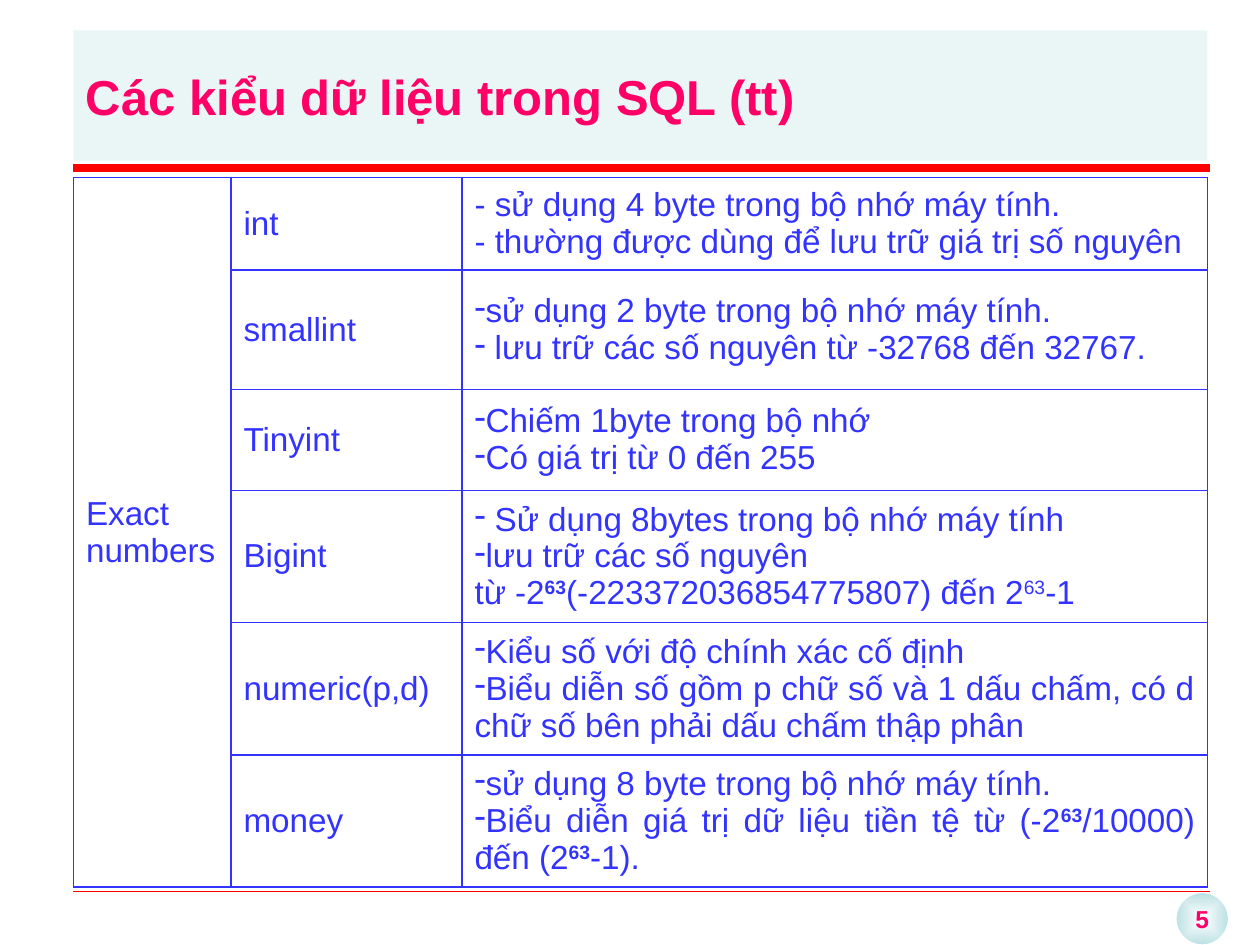
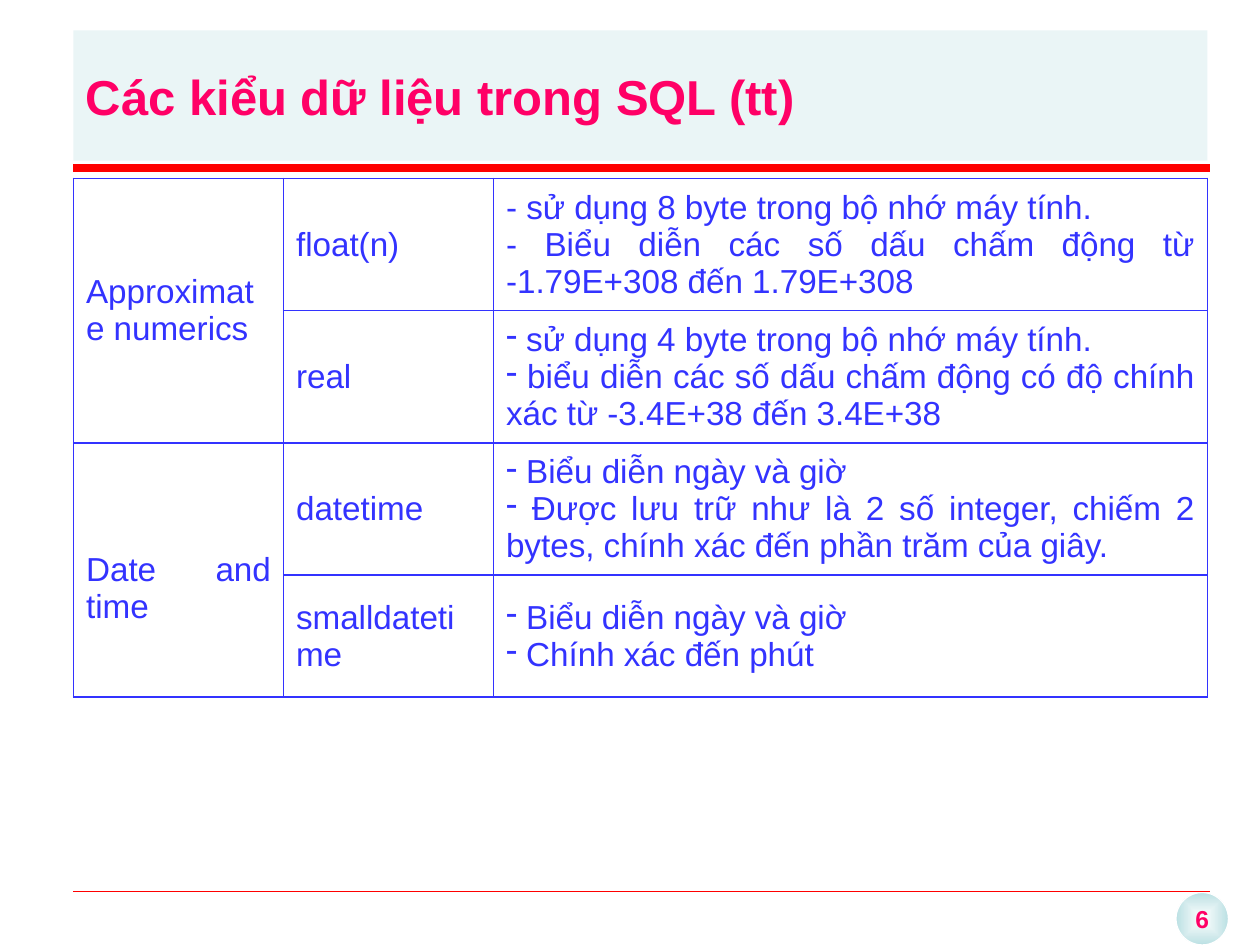
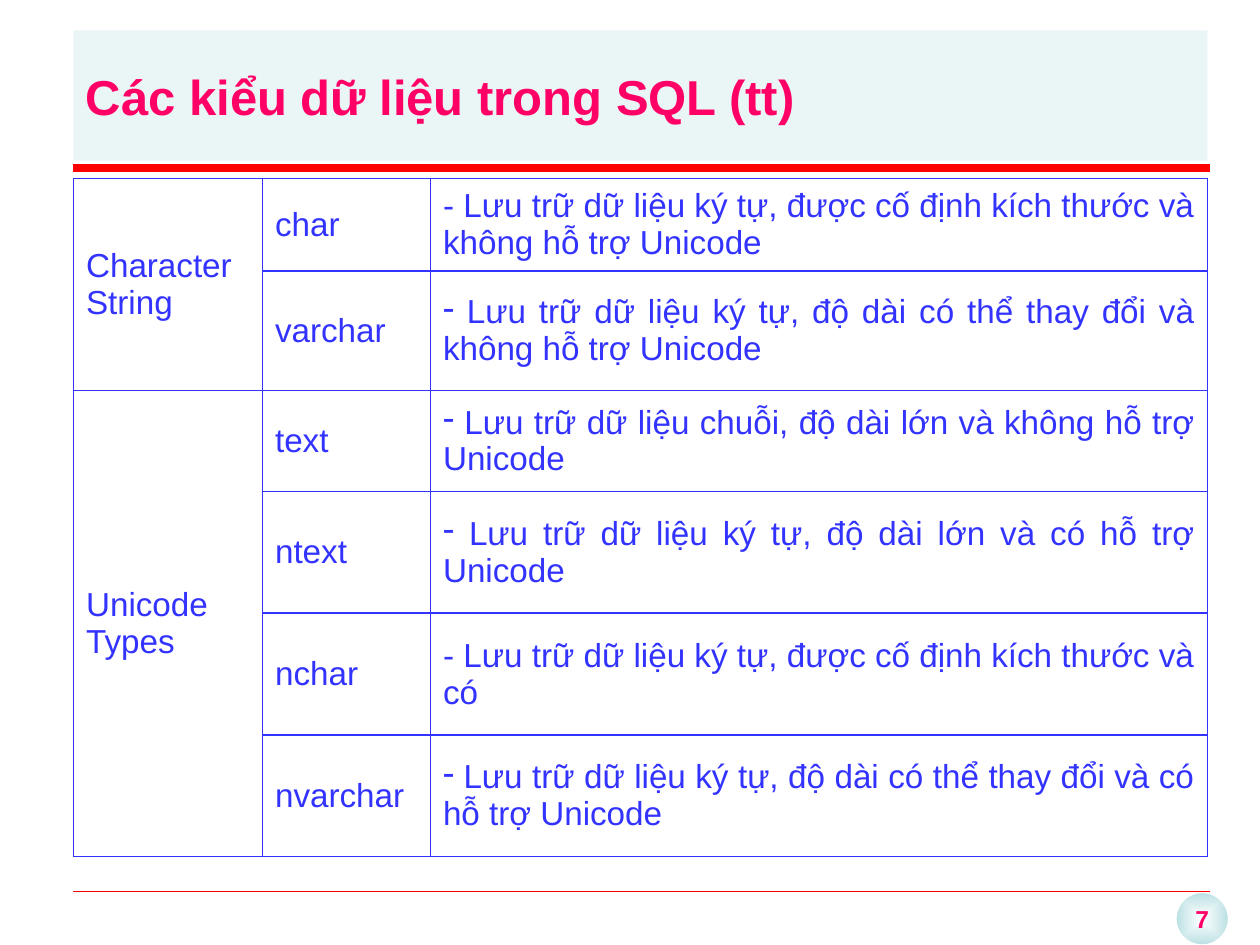
from dataclasses import dataclass
from typing import Any, NamedTuple

from pptx import Presentation
from pptx import util as u
from pptx.dml import color
from pptx.enum import shapes, text
from pptx.oxml import parse_xml
from pptx.oxml import ns

COLORS = {
    "heading": "FF0066",
    "rule": "FF0000",
    "band": "BBE0E3",
    "table": "3333FF",
    "white": "FFFFFF",
}
FONT = "Arial"
LEFT = 42
WIDTH = 648
RULE_END = 691.2
TITLE = "Các kiểu dữ liệu trong SQL (tt)"
FIRST_NUMBER = 5
TITLE_FONT = {"name": FONT, "size": u.Pt(28), "bold": True}
NUMBER_FONT = {"name": FONT, "size": u.Pt(14), "bold": True}
BODY_FONT = {"name": FONT, "size": u.Pt(19), "bold": False}
CELL_FORMAT = {
    "vertical_anchor": text.MSO_ANCHOR.MIDDLE,
    "margin_left": u.Pt(7.2),
    "margin_right": u.Pt(7.2),
    "margin_top": u.Pt(3.6),
    "margin_bottom": u.Pt(3.6),
}
NUMBER_FRAME = {
    "vertical_anchor": text.MSO_ANCHOR.MIDDLE,
    "word_wrap": False,
    "margin_left": 0,
    "margin_right": 0,
    "margin_top": 0,
    "margin_bottom": 0,
}


class Power(NamedTuple):
    exponent: str
    bold: bool = True


class Line(NamedTuple):
    pieces: tuple[str | Power, ...]
    dashed: bool = False


class Rule(NamedTuple):
    y: float
    weight: float


class DataType(NamedTuple):
    name: str
    height: float
    description: list[Line]


@dataclass
class Category:
    label: list[Line]
    types: list[DataType]
    label_top: float = 3.6


@dataclass
class TypeTable:
    top: float
    columns: tuple[float, float, float]
    categories: list[Category]


def plain(*pieces: str | Power) -> Line:
    return Line(pieces)


def dash(*pieces: str | Power) -> Line:
    return Line(pieces, True)


RULES = [Rule(509, 0.25), Rule(96, 4.5)]

TABLES = [
    TypeTable(101.4, (90, 132, 426), [
        Category([plain("Exact numbers")], [
            DataType("int", 52.8, [
                plain("- sử dụng 4 byte trong bộ nhớ máy tính."),
                plain("- thường được dùng để lưu trữ giá trị số nguyên"),
            ]),
            DataType("smallint", 68.4, [
                dash("sử dụng 2 byte trong bộ nhớ máy tính."),
                dash(" lưu trữ các số nguyên từ -32768 đến 32767."),
            ]),
            DataType("Tinyint", 57.6, [
                dash("Chiếm 1byte trong bộ nhớ"),
                dash("Có giá trị từ 0 đến 255"),
            ]),
            DataType("Bigint", 75.6, [
                dash(" Sử dụng 8bytes trong bộ nhớ máy tính"),
                dash("lưu trữ các số nguyên"),
                plain("từ -2", Power("63"), "(-223372036854775807) đến 2",
                      Power("63", False), "-1"),
            ]),
            DataType("numeric(p,d)", 75.6, [
                dash("Kiểu số với độ chính xác cố định"),
                dash("Biểu diễn số gồm p chữ số và 1 dấu chấm, có d "
                     "chữ số bên phải dấu chấm thập phân"),
            ]),
            DataType("money", 75.6, [
                dash("sử dụng 8 byte trong bộ nhớ máy tính."),
                dash("Biểu diễn giá trị dữ liệu tiền tệ từ (-2", Power("63"),
                     "/10000) đến (2", Power("63"), "-1)."),
            ]),
        ]),
    ]),
    TypeTable(102, (120, 120, 408), [
        Category([plain("Approximate numerics")], [
            DataType("float(n)", 75.6, [
                plain("- sử dụng 8 byte trong bộ nhớ máy tính."),
                plain("- Biểu diễn các số dấu chấm động từ "
                      "-1.79E+308 đến 1.79E+308"),
            ]),
            DataType("real", 75.6, [
                dash(" sử dụng 4 byte trong bộ nhớ máy tính."),
                dash(" biểu diễn các số dấu chấm động có độ chính xác "
                     "từ -3.4E+38 đến 3.4E+38"),
            ]),
        ]),
        Category([plain("Date and time")], [
            DataType("datetime", 75.6, [
                dash(" Biểu diễn ngày và giờ"),
                dash(" Được lưu trữ như là 2 số integer, chiếm 2 bytes, "
                     "chính xác đến phần trăm của giây."),
            ]),
            DataType("smalldatetime", 69.6, [
                dash(" Biểu diễn ngày và giờ"),
                dash(" Chính xác đến phút"),
            ]),
        ], label_top=24.6),
    ]),
    TypeTable(102, (108, 96, 444), [
        Category([plain("Character String")], [
            DataType("char", 52.8, [
                plain("- Lưu trữ dữ liệu ký tự, được cố định kích thước "
                      "và không hỗ trợ Unicode"),
            ]),
            DataType("varchar", 68.4, [
                dash(" Lưu trữ dữ liệu ký tự, độ dài có thể thay đổi "
                     "và không hỗ trợ Unicode"),
            ]),
        ]),
        Category([plain("Unicode"), plain("Types")], [
            DataType("text", 57.6, [
                dash(" Lưu trữ dữ liệu chuỗi, độ dài lớn và không hỗ trợ Unicode"),
            ]),
            DataType("ntext", 69.6, [
                dash(" Lưu trữ dữ liệu ký tự, độ dài lớn và có hỗ trợ Unicode"),
            ]),
            DataType("nchar", 69.6, [
                plain("- Lưu trữ dữ liệu ký tự, được cố định kích thước và có"),
            ]),
            DataType("nvarchar", 69.6, [
                dash(" Lưu trữ dữ liệu ký tự, độ dài có thể thay đổi "
                     "và có hỗ trợ Unicode"),
            ]),
        ]),
    ]),
]


def rgb(key: str) -> color.RGBColor:
    return color.RGBColor.from_string(COLORS[key])


def apply(target: Any, formats: dict[str, Any]) -> None:
    for attribute, value in formats.items():
        setattr(target, attribute, value)


def element(markup: str) -> Any:
    tag, _, rest = markup.partition(" ")
    return parse_xml(f"<{tag} {ns.nsdecls('a')} {rest}")


def add_run(paragraph: Any, words: str, font: dict[str, Any], ink: str) -> Any:
    run = paragraph.add_run()
    run.text = words
    apply(run.font, font)
    run.font.color.rgb = rgb(ink)
    return run


def add_rule(slide: Any, rule: Rule) -> None:
    line = slide.shapes.add_connector(
        shapes.MSO_CONNECTOR.STRAIGHT,
        u.Pt(LEFT), u.Pt(rule.y), u.Pt(RULE_END), u.Pt(rule.y))
    line.line.color.rgb = rgb("rule")
    line.line.width = u.Pt(rule.weight)
    line._element.spPr.append(element("a:effectLst />"))


def add_number(slide: Any, number: int) -> None:
    badge = slide.shapes.add_shape(
        shapes.MSO_SHAPE.OVAL, u.Pt(672), u.Pt(510), u.Pt(30), u.Pt(30))
    badge.shadow.inherit = False
    badge.fill.gradient()
    for stop, key in zip(badge.fill.gradient_stops, ("white", "band")):
        stop.color.rgb = rgb(key)
    direction = badge._element.spPr.find(".//" + ns.qn("a:lin"))
    direction.getparent().replace(direction, element(
        'a:path path="shape">'
        '<a:fillToRect l="50000" t="50000" r="50000" b="50000"/></a:path>'))
    badge.line.color.rgb = rgb("white")
    badge.line.width = u.Pt(0.75)
    apply(badge.text_frame, NUMBER_FRAME)
    paragraph = badge.text_frame.paragraphs[0]
    paragraph.alignment = text.PP_ALIGN.CENTER
    add_run(paragraph, str(number), NUMBER_FONT, "heading")


def add_title(slide: Any) -> None:
    band = slide.shapes.add_shape(
        shapes.MSO_SHAPE.RECTANGLE, u.Pt(LEFT), u.Pt(17.4), u.Pt(WIDTH), u.Pt(74.4))
    band.shadow.inherit = False
    band.fill.solid()
    band.fill.fore_color.rgb = rgb("band")
    tint = band._element.spPr.find(".//" + ns.qn("a:srgbClr"))
    tint.append(element('a:alpha val="30000"/>'))
    band.line.fill.background()
    band.text_frame.word_wrap = True
    band.text_frame.vertical_anchor = text.MSO_ANCHOR.MIDDLE
    paragraph = band.text_frame.paragraphs[0]
    paragraph.alignment = text.PP_ALIGN.LEFT
    add_run(paragraph, TITLE, TITLE_FONT, "heading")


def style_cell(cell: Any) -> None:
    apply(cell, CELL_FORMAT)
    cell.fill.solid()
    cell.fill.fore_color.rgb = rgb("white")
    properties = cell._tc.get_or_add_tcPr()
    for position, side in enumerate("LRTB"):
        properties.insert(position, element(
            f'a:ln{side} w="{u.Pt(1)}"><a:solidFill>'
            f'<a:srgbClr val="{COLORS["table"]}"/></a:solidFill></a:ln{side}>'))


def fill_cell(cell: Any, lines: list[Line]) -> None:
    frame = cell.text_frame
    for index, line in enumerate(lines):
        paragraph = frame.add_paragraph() if index else frame.paragraphs[0]
        paragraph.alignment = text.PP_ALIGN.JUSTIFY
        if line.dashed:
            paragraph._p.get_or_add_pPr().append(element('a:buChar char="-"/>'))
        for piece in line.pieces:
            if isinstance(piece, Power):
                run = add_run(paragraph, piece.exponent, BODY_FONT, "table")
                run.font.bold = piece.bold
                run._r.get_or_add_rPr().set("baseline", "30000")
            else:
                add_run(paragraph, piece, BODY_FONT, "table")


def add_type_table(slide: Any, content: TypeTable) -> None:
    heights = [kind.height for group in content.categories for kind in group.types]
    table = slide.shapes.add_table(
        len(heights), len(content.columns), u.Pt(LEFT), u.Pt(content.top),
        u.Pt(WIDTH), u.Pt(sum(heights))).table
    apply(table, {"first_row": False, "horz_banding": False})
    for column, width in zip(table.columns, content.columns):
        column.width = u.Pt(width)
    for row, height in zip(table.rows, heights):
        row.height = u.Pt(height)
    for cell in table.iter_cells():
        style_cell(cell)
    first = 0
    for group in content.categories:
        label = table.cell(first, 0)
        label.merge(table.cell(first + len(group.types) - 1, 0))
        label.margin_top = u.Pt(group.label_top)
        fill_cell(label, group.label)
        for row, kind in enumerate(group.types, first):
            fill_cell(table.cell(row, 1), [plain(kind.name)])
            fill_cell(table.cell(row, 2), kind.description)
        first += len(group.types)


def main() -> None:
    deck = Presentation()
    deck.slide_width = u.Pt(720)
    deck.slide_height = u.Pt(540)
    for number, content in enumerate(TABLES, FIRST_NUMBER):
        slide = deck.slides.add_slide(deck.slide_layouts[6])
        add_number(slide, number)
        for rule in RULES:
            add_rule(slide, rule)
        add_title(slide)
        add_type_table(slide, content)
    deck.save("out.pptx")


if __name__ == "__main__":
    main()
